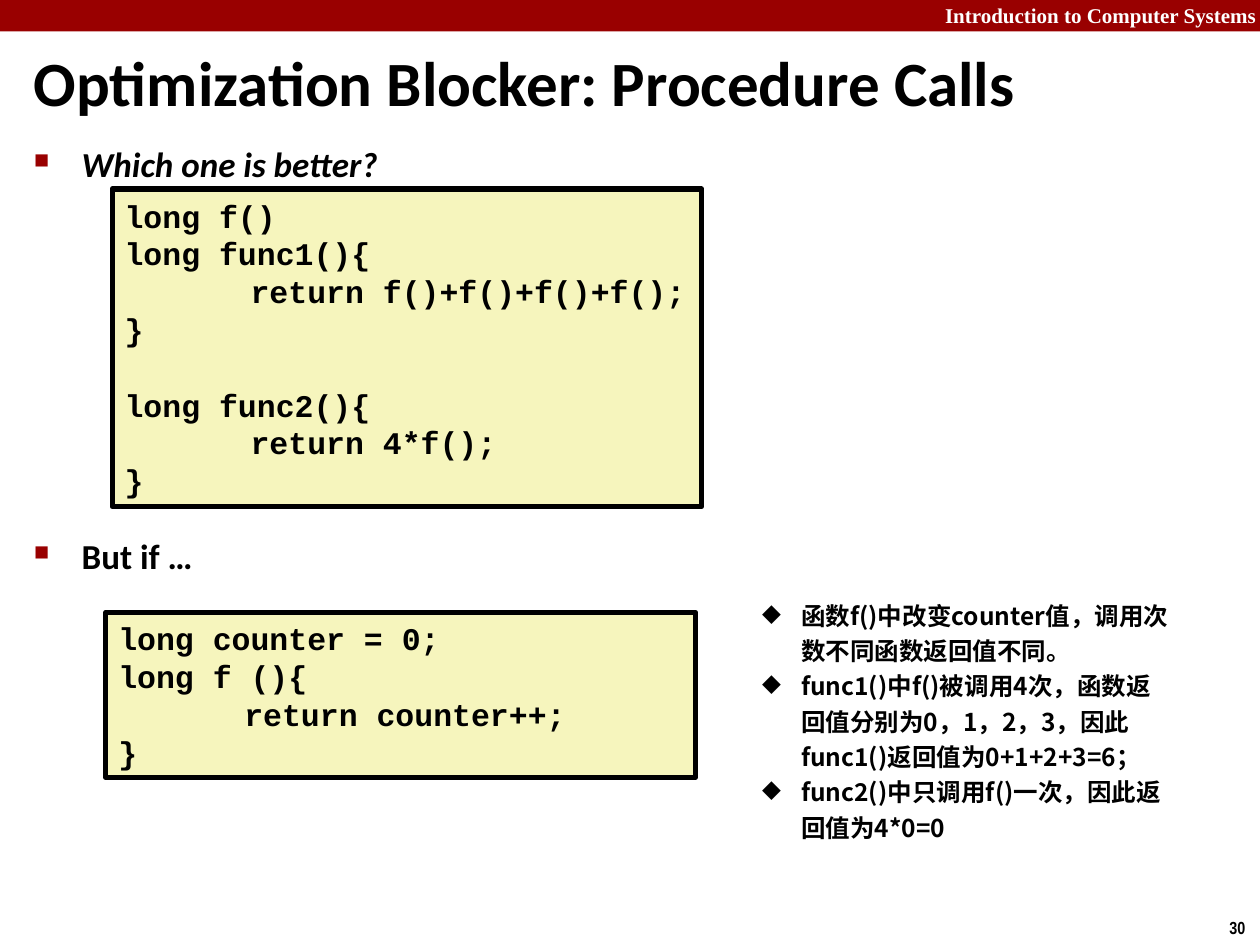
from lxml import etree
from pptx import Presentation
from pptx.dml.color import RGBColor
from pptx.enum import shapes, text
from pptx.oxml.ns import qn
from pptx.util import Inches, Pt

RED = RGBColor(0x99, 0x00, 0x00)
CREAM = RGBColor(0xF6, 0xF5, 0xBD)
BLACK = RGBColor(0, 0, 0)
WHITE = RGBColor(0xFF, 0xFF, 0xFF)
CJK = "Noto Sans CJK SC"

CALLS = """long f()
long func1(){
\treturn f()+f()+f()+f();
}

long func2(){
\treturn 4*f();
}"""
COUNTER = """long counter = 0;
long f (){
\treturn counter++;
}"""
NOTES = [
    "函数f()中改变counter值，调用次数不同函数返回值不同。",
    "func1()中f()被调用4次，函数返回值分别为0，1，2，3，因此func1()返回值为0+1+2+3=6；",
    "func2()中只调用f()一次，因此返回值为4*0=0",
]


def add_child(parent, tag, **attributes):
    """Append a drawing element with the given attributes."""
    child = etree.SubElement(parent, qn(tag))
    for name, value in attributes.items():
        child.set(name, str(value))
    return child


def add_bullet(para, char, indent, color=None, percent=None):
    """Give a paragraph a hanging bullet."""
    properties = para._p.get_or_add_pPr()
    properties.set("marL", str(Inches(indent)))
    properties.set("indent", str(-Inches(indent)))
    if color is not None:
        add_child(add_child(properties, "a:buClr"), "a:srgbClr", val=color)
    if percent:
        add_child(properties, "a:buSzPct", val=percent * 1000)
    add_child(properties, "a:buChar", char=char)


def add_tabs(para, stops):
    """Set left tab stops in inches."""
    tabs = add_child(para._p.get_or_add_pPr(), "a:tabLst")
    for stop in stops:
        add_child(tabs, "a:tab", pos=Inches(stop), algn="l")


def write(para, words, size, font, color=BLACK, italic=False, spacing=None,
          align=text.PP_ALIGN.LEFT):
    """Write one bold span into a paragraph."""
    para.alignment = align
    if spacing:
        para.line_spacing = Pt(spacing)
    if not words:
        return
    span = para.add_run()
    span.text = words
    span.font.size = Pt(size)
    span.font.name = font
    span.font.bold = True
    span.font.italic = italic
    span.font.color.rgb = color
    if font == CJK:
        add_child(span._r.get_or_add_rPr(), "a:ea", typeface=font)


def add_paragraphs(frame, count):
    """Return the given number of paragraphs of an empty frame."""
    return [frame.paragraphs[0]] + [frame.add_paragraph() for _ in range(count - 1)]


def add_box(page, place, wrap=True, anchor=text.MSO_ANCHOR.TOP):
    """Add a text box and return its frame."""
    frame = page.shapes.add_textbox(*map(Inches, place)).text_frame
    frame.word_wrap = wrap
    frame.vertical_anchor = anchor
    return frame


def add_rectangle(page, place, fill, border=None):
    """Add a flat rectangle, with a border width in points if given."""
    shape = page.shapes.add_shape(shapes.MSO_SHAPE.RECTANGLE, *map(Inches, place))
    shape.shadow.inherit = False
    shape.fill.solid()
    shape.fill.fore_color.rgb = fill
    if border:
        shape.line.color.rgb = BLACK
        shape.line.width = Pt(border)
    else:
        shape.line.fill.background()
    return shape


def add_code(page, place, code):
    """Add a bordered panel of code."""
    frame = add_rectangle(page, place, CREAM, border=3).text_frame
    frame.word_wrap = False
    frame.vertical_anchor = text.MSO_ANCHOR.MIDDLE
    lines = code.split("\n")
    for para, line in zip(add_paragraphs(frame, len(lines)), lines):
        add_tabs(para, (1, 2.5))
        write(para, line, 18, "Courier New", spacing=21.6)


def add_questions(page):
    """Add the two bulleted prompts that introduce the code."""
    first, second = add_paragraphs(add_box(page, (0.17, 1.08, 9.67, 5.92)), 2)
    second.space_before = Pt(200)
    for para, words, italic in ((first, "Which one is better?", True),
                                (second, "But if …", False)):
        add_bullet(para, "■", 0.38, RED, 60)
        write(para, words, 20, "Calibri", italic=italic)


def add_notes_list(page):
    """Add the bulleted explanation beside the counter code."""
    frame = add_box(page, (5.95, 4.67, 3.47, 2.06))
    for para, words in zip(add_paragraphs(frame, len(NOTES)), NOTES):
        add_bullet(para, "◆", 0.31)
        write(para, words, 14, CJK, spacing=20.2)


def main():
    """Build and save the slide."""
    deck = Presentation()
    deck.slide_width, deck.slide_height = Inches(10), Inches(7.5)
    page = deck.slides.add_slide(deck.slide_layouts[6])
    add_rectangle(page, (0, 0, 10, 0.25), RED)
    write(add_box(page, (6, -0.03, 4.07, 0.3)).paragraphs[0],
          "Introduction to Computer Systems", 12, "Times New Roman", WHITE,
          align=text.PP_ALIGN.RIGHT)
    write(add_box(page, (9.66, 7.23, 0.34, 0.27), wrap=False).paragraphs[0],
          "30", 10, "Arial Narrow")
    add_questions(page)
    title = add_box(page, (0.17, 0.33, 9.67, 0.63), anchor=text.MSO_ANCHOR.MIDDLE)
    write(title.paragraphs[0], "Optimization Blocker: Procedure Calls", 36, "Calibri")
    add_code(page, (0.89, 1.5, 4.68, 2.52), CALLS)
    add_code(page, (0.84, 4.86, 4.68, 1.31), COUNTER)
    add_notes_list(page)
    deck.save("out.pptx")


if __name__ == "__main__":
    main()
